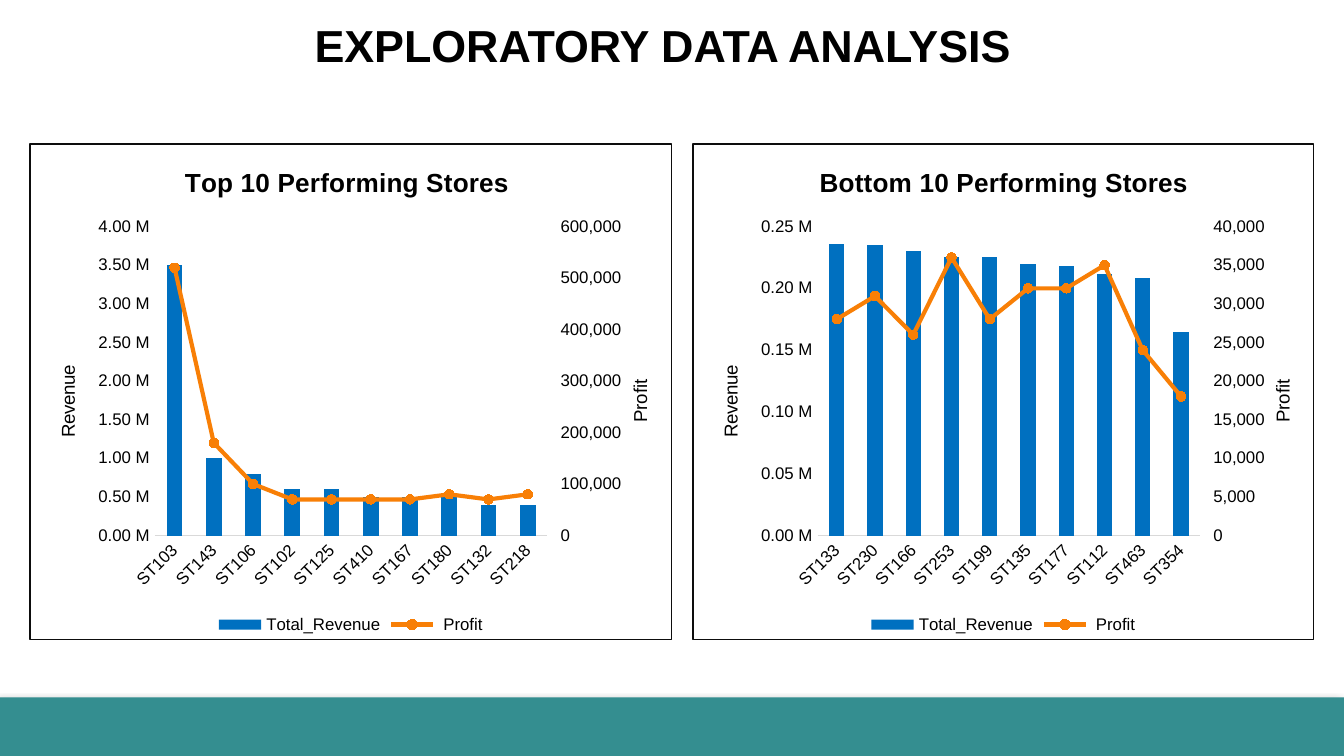
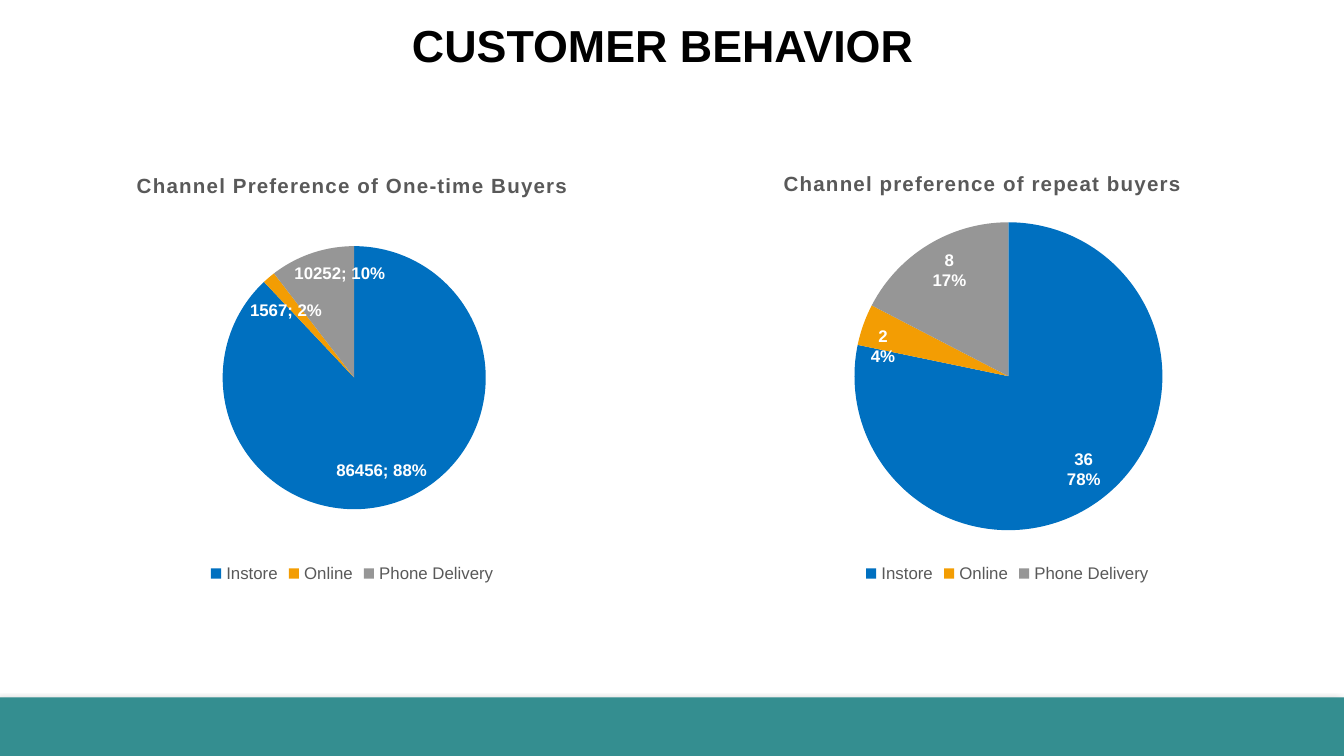
from copy import deepcopy
from dataclasses import dataclass

from lxml import etree
from pptx import Presentation
from pptx.chart import axis as ax
from pptx.chart import data as cd
from pptx.dml.color import RGBColor
from pptx.enum import chart as ch
from pptx.enum import shapes, text
from pptx.oxml import parse_xml
from pptx.oxml.ns import nsdecls, qn
from pptx.util import Pt


@dataclass(frozen=True)
class Theme:
    font: str = "Arial"
    ink: str = "000000"
    grey: str = "595959"
    white: str = "FFFFFF"
    band: str = "348E90"
    border: str = "0D0D0D"
    axis_line: str = "D9D9D9"
    revenue: str = "0070C0"
    profit: str = "F87F06"
    channels: tuple = ("0070C0", "F39D03", "969696")
    title_size: float = 24
    combo_title_size: float = 14
    pie_title_size: float = 11
    chart_size: float = 10
    label_size: float = 9


T = Theme()
WIDTH, HEIGHT = 720, 405
TITLE_BOX = (39.6, 2.9, 630.7, 42.5)
BAND_BOX = (0, 373.7, WIDTH, 31.3)


def style(font, size, color=T.ink, bold=False):
    font.name, font.size, font.bold = T.font, Pt(size), bold
    font.color.rgb = RGBColor.from_string(color)


def paint(fill, color):
    fill.solid()
    fill.fore_color.rgb = RGBColor.from_string(color)


def add_band(slide, box):
    sp = slide.shapes.add_shape(shapes.MSO_SHAPE.RECTANGLE, *map(Pt, box))
    paint(sp.fill, T.band)
    sp.line.fill.background()
    sp.shadow.inherit = False
    effects = sp._element.spPr.find(qn("a:effectLst"))
    effects.append(parse_xml(
        f'<a:outerShdw {nsdecls("a")} blurRad="{Pt(4)}" dist="{Pt(3)}" dir="8100000" '
        'rotWithShape="0"><a:srgbClr val="000000"><a:alpha val="40000"/></a:srgbClr>'
        '</a:outerShdw>'))


def add_title(slide, words, box):
    sp = slide.shapes.title
    sp.left, sp.top, sp.width, sp.height = map(Pt, box)
    tf = sp.text_frame
    tf.auto_size = text.MSO_AUTO_SIZE.NONE
    tf.word_wrap = True
    tf.vertical_anchor = text.MSO_ANCHOR.BOTTOM
    tf.margin_left = tf.margin_right = tf.margin_top = tf.margin_bottom = Pt(7.2)
    p = tf.paragraphs[0]
    p.alignment = text.PP_ALIGN.CENTER
    r = p.add_run()
    r.text = words
    style(r.font, T.title_size, bold=True)


def add_slide(prs, words):
    slide = prs.slides.add_slide(prs.slide_layouts[5])
    paint(slide.background.fill, T.white)
    add_band(slide, BAND_BOX)
    add_title(slide, words, TITLE_BOX)
    return slide


def place(el, box, x, y, w=None, h=None):
    """Set the manual layout of a chart part, in points from the chart's corner."""
    old = el.find(qn("c:layout"))
    if old is not None:
        el.remove(old)
    parts = {"x": x / box[2], "y": y / box[3]}
    target = ""
    if w is not None:
        parts |= {"w": w / box[2], "h": h / box[3]}
        target = '<c:layoutTarget val="inner"/>'
    values = "".join(f'<c:{k} val="{v:.4f}"/>' for k, v in parts.items())
    layout = parse_xml(
        f'<c:layout {nsdecls("c")}><c:manualLayout>{target}<c:xMode val="edge"/>'
        f'<c:yMode val="edge"/>{values}</c:manualLayout></c:layout>')
    el.insert(0 if el.find(qn("c:tx")) is None else 1, layout)


def write_title(title, words, box, x, y, size, color=T.ink, bold=False):
    """Fill a chart or axis title, place it, and return its run."""
    r = title.text_frame.paragraphs[0].add_run()
    r.text = words
    style(r.font, size, color, bold)
    place(title._element, box, x, y)
    return r


def add_chart(slide, kind, data, box, legend_color, border=None):
    chart = slide.shapes.add_chart(kind, *map(Pt, box), data).chart
    style(chart.font, T.chart_size)
    chart.has_title = True
    chart.has_legend = True
    chart.legend.position = ch.XL_LEGEND_POSITION.BOTTOM
    chart.legend.include_in_layout = False
    style(chart.legend.font, T.label_size, legend_color)
    line = (f'<a:solidFill><a:srgbClr val="{border}"/></a:solidFill>'
            if border else "<a:noFill/>")
    chart._chartSpace.find(qn("c:chart")).addnext(parse_xml(
        f'<c:spPr {nsdecls("c", "a")}><a:noFill/><a:ln w="{Pt(0.75)}">{line}</a:ln></c:spPr>'))
    return chart


def move_to_second_axis(chart):
    """Turn the last column series into a line on its own axes; return its value axis."""
    bar = chart.plots[0]._element
    cat, val = chart.category_axis._element, chart.value_axis._element
    ser = bar.findall(qn("c:ser"))[-1]
    invert = ser.find(qn("c:invertIfNegative"))
    if invert is not None:
        ser.remove(invert)
    line = parse_xml(
        f'<c:lineChart {nsdecls("c")}><c:grouping val="standard"/><c:varyColors val="0"/>'
        '<c:marker val="1"/><c:axId val="5001"/><c:axId val="5002"/></c:lineChart>')
    line.insert(2, ser)
    bar.addnext(line)
    cat2, val2 = deepcopy(cat), deepcopy(val)
    val.addnext(val2)
    val2.addnext(cat2)
    for el, own, other in ((cat2, "5001", "5002"), (val2, "5002", "5001")):
        el.find(qn("c:axId")).set("val", own)
        el.find(qn("c:crossAx")).set("val", other)
    val2.find(qn("c:axPos")).set("val", "r")
    val2.find(qn("c:crosses")).set("val", "max")
    ax.CategoryAxis(cat2).visible = False
    second = ax.ValueAxis(val2)
    second.tick_label_position = ch.XL_TICK_LABEL_POSITION.HIGH
    return second


def format_axis(axis):
    axis.has_major_gridlines = False
    axis.major_tick_mark = axis.minor_tick_mark = ch.XL_TICK_MARK.NONE
    style(axis.tick_labels.font, T.label_size)


def format_value_axis(axis, words, top, step, fmt, box, x, y):
    format_axis(axis)
    axis.format.line.fill.background()
    axis.minimum_scale, axis.maximum_scale, axis.major_unit = 0, top, step
    axis.tick_labels.number_format = fmt
    axis.tick_labels.number_format_is_linked = False
    title = axis.axis_title
    write_title(title, words, box, x, y, T.chart_size)
    body = title._element.find(".//" + qn("a:bodyPr"))
    body.set("rot", "-5400000")
    body.set("vert", "horz")


def add_store_chart(slide, box, title, title_x, stores, revenue, profit,
                    revenue_scale, profit_scale, right_inset):
    data = cd.CategoryChartData()
    data.categories = stores
    data.add_series("Total_Revenue", revenue)
    data.add_series(" Profit", profit)
    chart = add_chart(slide, ch.XL_CHART_TYPE.COLUMN_CLUSTERED, data, box, T.ink, T.border)
    write_title(chart.chart_title, title, box, title_x, 9, T.combo_title_size, bold=True)
    revenue_axis = chart.value_axis
    profit_axis = move_to_second_axis(chart)
    place(chart._chartSpace.find(".//" + qn("c:plotArea")), box,
          67, 44.5, box[2] - 67 - right_inset, 166)

    cat = chart.category_axis
    format_axis(cat)
    cat.format.line.width = Pt(0.75)
    paint(cat.format.line.fill, T.axis_line)
    cat._element.find(qn("c:txPr")).find(qn("a:bodyPr")).set("rot", "-2700000")
    format_value_axis(revenue_axis, "Revenue", *revenue_scale, '0.00,,\\ "M"',
                      box, 12, 117)
    format_value_axis(profit_axis, "Profit", *profit_scale, "#,##0",
                      box, box[2] - 25, 125)

    columns, lines = chart.plots
    columns.gap_width = 150
    columns.vary_by_categories = False
    paint(columns.series[0].format.fill, T.revenue)
    s = lines.series[0]
    s.smooth = False
    s.format.line.width = Pt(2.25)
    paint(s.format.line.fill, T.profit)
    s.marker.style, s.marker.size = ch.XL_MARKER_STYLE.CIRCLE, 5
    paint(s.marker.format.fill, T.profit)
    paint(s.marker.format.line.fill, T.profit)


def shift_labels(labels, box, shifts):
    """Move each point's label from its usual place by (x, y) points."""
    shared = [el for el in labels if el.tag != qn("c:showLeaderLines")]
    for i, (x, y) in enumerate(shifts):
        label = parse_xml(
            f'<c:dLbl {nsdecls("c")}><c:idx val="{i}"/><c:layout><c:manualLayout>'
            f'<c:x val="{x / box[2]:.4f}"/><c:y val="{y / box[3]:.4f}"/>'
            '</c:manualLayout></c:layout></c:dLbl>')
        label.extend(deepcopy(shared))
        labels.insert(i, label)


def add_channel_pie(slide, box, title, title_at, counts, pie_at, diameter, separator,
                    shifts=()):
    data = cd.CategoryChartData()
    data.categories = ("Instore", "Online", "Phone Delivery")
    data.add_series("Series 1", counts)
    chart = add_chart(slide, ch.XL_CHART_TYPE.PIE, data, box, T.grey)
    r = write_title(chart.chart_title, title, box, *title_at,
                    T.pie_title_size, T.grey, bold=True)
    r.font._element.set("spc", "50")
    place(chart._chartSpace.find(".//" + qn("c:plotArea")), box,
          *pie_at, diameter, diameter)
    plot = chart.plots[0]
    plot.vary_by_categories = True
    s = plot.series[0]
    for i, color in enumerate(T.channels):
        paint(s.points[i].format.fill, color)
    labels = s.data_labels
    labels.show_value = labels.show_percentage = True
    labels.position = ch.XL_LABEL_POSITION.INSIDE_END
    style(labels.font, T.label_size, T.white, bold=True)
    el = labels._element
    sep = etree.Element(qn("c:separator"))
    sep.text = separator
    el.find(qn("c:showBubbleSize")).addnext(sep)
    leader = el.find(qn("c:showLeaderLines"))
    if leader is not None:
        leader.set("val", "0")
    shift_labels(el, box, shifts)


def build_stores(prs):
    slide = add_slide(prs, "EXPLORATORY DATA ANALYSIS")
    add_store_chart(
        slide, (15.8, 76.7, 344.2, 266.4), "Top 10 Performing Stores", 80.5,
        ["ST103", "ST143", "ST106", "ST102", "ST125",
         "ST410", "ST167", "ST180", "ST132", "ST218"],
        [3500000, 1000000, 800000, 600000, 600000, 500000, 500000, 500000, 400000, 400000],
        [520000, 180000, 100000, 70000, 70000, 70000, 70000, 80000, 70000, 80000],
        (4000000, 500000), (600000, 100000), 66.5)
    add_store_chart(
        slide, (370.8, 76.7, 333.4, 266.4), "Bottom 10 Performing Stores", 65.5,
        ["ST133", "ST230", "ST166", "ST253", "ST199",
         "ST135", "ST177", "ST112", "ST463", "ST354"],
        [236000, 235000, 230000, 225000, 225000, 220000, 218000, 212000, 208000, 165000],
        [28000, 31000, 26000, 36000, 28000, 32000, 32000, 35000, 24000, 18000],
        (250000, 50000), (40000, 5000), 61)


def build_channels(prs):
    slide = add_slide(prs, "CUSTOMER BEHAVIOR")
    add_channel_pie(slide, (17.3, 81.4, 342.7, 234), "Channel Preference of One-time Buyers",
                    (54, 8.3), (86456, 1567, 10252), (102, 50.5), 141, "; ",
                    ((14.5, -6.4), (-12.9, 9.6), (-10.7, 1.6)))
    add_channel_pie(slide, (377.3, 81.4, 324.7, 234), "Channel preference of repeat buyers",
                    (40.5, 7.3), (36, 2, 8), (80.5, 37.7), 165, "\n")


def main():
    prs = Presentation()
    prs.slide_width, prs.slide_height = Pt(WIDTH), Pt(HEIGHT)
    build_stores(prs)
    build_channels(prs)
    prs.save("out.pptx")


if __name__ == "__main__":
    main()
